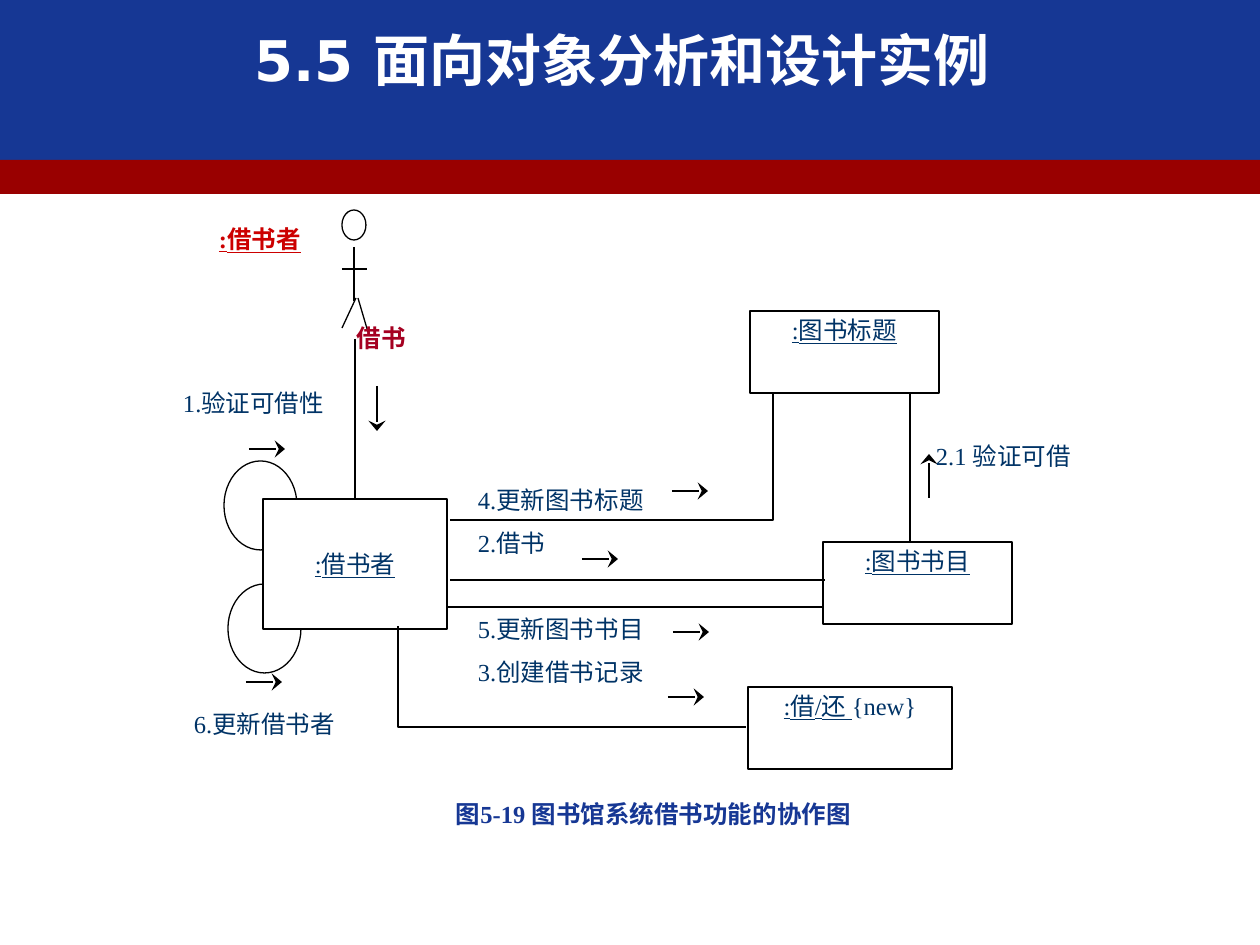
from dataclasses import dataclass

from lxml import etree
from pptx import Presentation
from pptx import util as u
from pptx.dml.color import RGBColor
from pptx.enum import shapes, text
from pptx.oxml.ns import qn

SCALE = 914400 / 126  # EMU per px
BLUE, RED, NAVY, BLACK, WHITE = "163794", "990000", "003366", "000000", "FFFFFF"
SERIF = "Times New Roman"


@dataclass
class Label:
    lines: list[str]
    left: int
    top: int
    width: int
    height: int
    color: str = NAVY
    bold: bool = False
    underline: bool = False
    centered: bool = False
    inset_top: int = 4


@dataclass
class ObjectBox:
    name: str
    left: int
    top: int
    width: int
    height: int
    note: str = ""
    middle: bool = False


@dataclass
class Segment:
    x1: int
    y1: int
    x2: int
    y2: int


def px(value: float) -> u.Emu:
    return u.Emu(round(value * SCALE))


def rgb(color: str) -> RGBColor:
    return RGBColor.from_string(color)


def set_line(shape) -> None:
    shape.line.color.rgb = rgb(BLACK)
    shape.line.width = u.Pt(0.75)


def add_block(slide, kind, left: int, top: int, width: int, height: int,
              fill: str, outlined: bool = True):
    shape = slide.shapes.add_shape(kind, px(left), px(top), px(width), px(height))
    shape.shadow.inherit = False
    shape.fill.solid()
    shape.fill.fore_color.rgb = rgb(fill)
    if outlined:
        set_line(shape)
    else:
        shape.line.fill.background()
    return shape


def set_frame(frame, inset_top: int) -> None:
    frame.word_wrap = True
    frame.vertical_anchor = text.MSO_ANCHOR.TOP
    frame.margin_left = frame.margin_right = px(9)
    frame.margin_top, frame.margin_bottom = px(inset_top), px(4)


def set_font(paragraph, color: str, size: int = 14, name: str = SERIF,
             bold: bool = False) -> None:
    font = paragraph.font
    font.name, font.size, font.bold = name, u.Pt(size), bold
    font.color.rgb = rgb(color)


def add_label(slide, label: Label):
    shape = slide.shapes.add_textbox(px(label.left), px(label.top),
                                     px(label.width), px(label.height))
    frame = shape.text_frame
    set_frame(frame, label.inset_top)
    frame.text = "\n".join(label.lines)
    for paragraph in frame.paragraphs:
        paragraph.alignment = (text.PP_ALIGN.CENTER if label.centered
                               else text.PP_ALIGN.JUSTIFY)
        set_font(paragraph, label.color, bold=label.bold)
        paragraph.runs[0].font.underline = label.underline
    return shape


def add_object(slide, box: ObjectBox):
    shape = add_block(slide, shapes.MSO_SHAPE.RECTANGLE, box.left, box.top,
                      box.width, box.height, WHITE)
    frame = shape.text_frame
    set_frame(frame, 4)
    if box.middle:
        frame.vertical_anchor = text.MSO_ANCHOR.MIDDLE
    paragraph = frame.paragraphs[0]
    paragraph.alignment = text.PP_ALIGN.CENTER
    set_font(paragraph, NAVY)
    name = paragraph.add_run()
    name.text = box.name
    name.font.underline = True
    if box.note:
        paragraph.add_run().text = box.note
    return shape


def add_segment(slide, segment: Segment, arrow: bool = False):
    connector = slide.shapes.add_connector(
        shapes.MSO_CONNECTOR.STRAIGHT, px(segment.x1), px(segment.y1),
        px(segment.x2), px(segment.y2))
    set_line(connector)
    if arrow:
        etree.SubElement(connector.line._get_or_add_ln(), qn("a:tailEnd"),
                         type="stealth", w="lg", len="med")
    etree.SubElement(connector.element.spPr, qn("a:effectLst"))
    return connector


def add_bent_link(slide, points: list[tuple[int, int]]) -> None:
    builder = slide.shapes.build_freeform(*points[0], scale=SCALE)
    builder.add_line_segments(points[1:], close=False)
    shape = builder.convert_to_shape()
    shape.shadow.inherit = False
    shape.fill.background()
    set_line(shape)


SELF_LOOPS = [(228, 584), (224, 461)]
BORROWER = ObjectBox(":借书者", 263, 499, 184, 130, middle=True)
OBJECTS = [
    ObjectBox(":借/还 ", 748, 687, 204, 82, note="{new}"),
    ObjectBox(":图书书目", 823, 542, 189, 82),
    ObjectBox(":图书标题", 750, 311, 189, 82),
]
ACTOR_LIMBS = [
    Segment(342, 269, 367, 269),
    Segment(354, 247, 354, 301),
    Segment(356, 298, 342, 328),
    Segment(358, 298, 368, 332),
]
LINKS = [
    Segment(450, 580, 825, 580),
    Segment(448, 607, 823, 607),
    Segment(910, 392, 910, 541),
]
BENT_LINKS = [
    [(746, 727), (398, 727), (398, 626)],
    [(450, 520), (773, 520), (773, 392)],
]
RIGHT_ARROWS = [(249, 449), (246, 682), (582, 559), (668, 697), (673, 632), (672, 491)]
VERTICAL_ARROWS = [Segment(377, 386, 377, 431), Segment(929, 498, 929, 454)]
LABELS = [
    Label(["1.验证可借性"], 174, 384, 194, 70),
    Label(["借书"], 348, 319, 97, 77, color="A50021", bold=True),
    Label([":借书者"], 210, 220, 136, 88, color="CC0000", bold=True, underline=True),
    Label(["6.更新借书者"], 185, 679, 181, 80, inset_top=34),
    Label(["2.1 验证可借"], 927, 437, 184, 85),
    Label(["图5-19 图书馆系统借书功能的协作图"], 307, 795, 693, 85,
          color=BLUE, bold=True, centered=True),
]
MESSAGES = Label(["4.更新图书标题", "2.借书", "5.更新图书书目", "3.创建借书记录"],
                 469, 438, 224, 298, inset_top=47)
MESSAGE_GAPS = [0, 7.8, 32.4, 7.8]


def main() -> None:
    presentation = Presentation()
    presentation.slide_width, presentation.slide_height = px(1260), px(945)
    slide = presentation.slides.add_slide(presentation.slide_layouts[5])

    # Title over the two header bands
    title = slide.shapes.title
    title.left, title.top, title.width, title.height = px(59), px(23), px(1126), px(73)
    title.text_frame.text = "5.5 面向对象分析和设计实例"
    title.text_frame.vertical_anchor = text.MSO_ANCHOR.MIDDLE
    paragraph = title.text_frame.paragraphs[0]
    paragraph.alignment = text.PP_ALIGN.CENTER
    set_font(paragraph, WHITE, 32, "DejaVu Sans", bold=True)
    for top, height, color in [(0, 162, BLUE), (160, 34, RED)]:
        band = add_block(slide, shapes.MSO_SHAPE.RECTANGLE, 0, top, 1260, height,
                         color, outlined=False)
        title.element.addprevious(band.element)

    # Objects, with the borrower's self-loops behind
    for left, top in SELF_LOOPS:
        add_block(slide, shapes.MSO_SHAPE.OVAL, left, top, 73, 89, WHITE)
    borrower = add_object(slide, BORROWER)
    for box in OBJECTS:
        add_object(slide, box)

    # Actor and its link to the borrower
    add_block(slide, shapes.MSO_SHAPE.OVAL, 342, 210, 24, 30, WHITE)
    for limb in ACTOR_LIMBS:
        add_segment(slide, limb)
    actor_link = add_segment(slide, Segment(355, 339, 355, 499))
    actor_link.end_connect(borrower, 0)

    # Links between objects
    for link in LINKS:
        add_segment(slide, link)
    for points in BENT_LINKS:
        add_bent_link(slide, points)

    # Message arrows
    for x, y in RIGHT_ARROWS:
        add_segment(slide, Segment(x, y, x + 36, y), arrow=True)
    for arrow in VERTICAL_ARROWS:
        add_segment(slide, arrow, arrow=True)

    # Labels and messages
    for label in LABELS:
        add_label(slide, label)
    messages = add_label(slide, MESSAGES)
    for paragraph, gap in zip(messages.text_frame.paragraphs, MESSAGE_GAPS):
        paragraph.space_before = u.Pt(gap)

    presentation.save("out.pptx")


if __name__ == "__main__":
    main()
